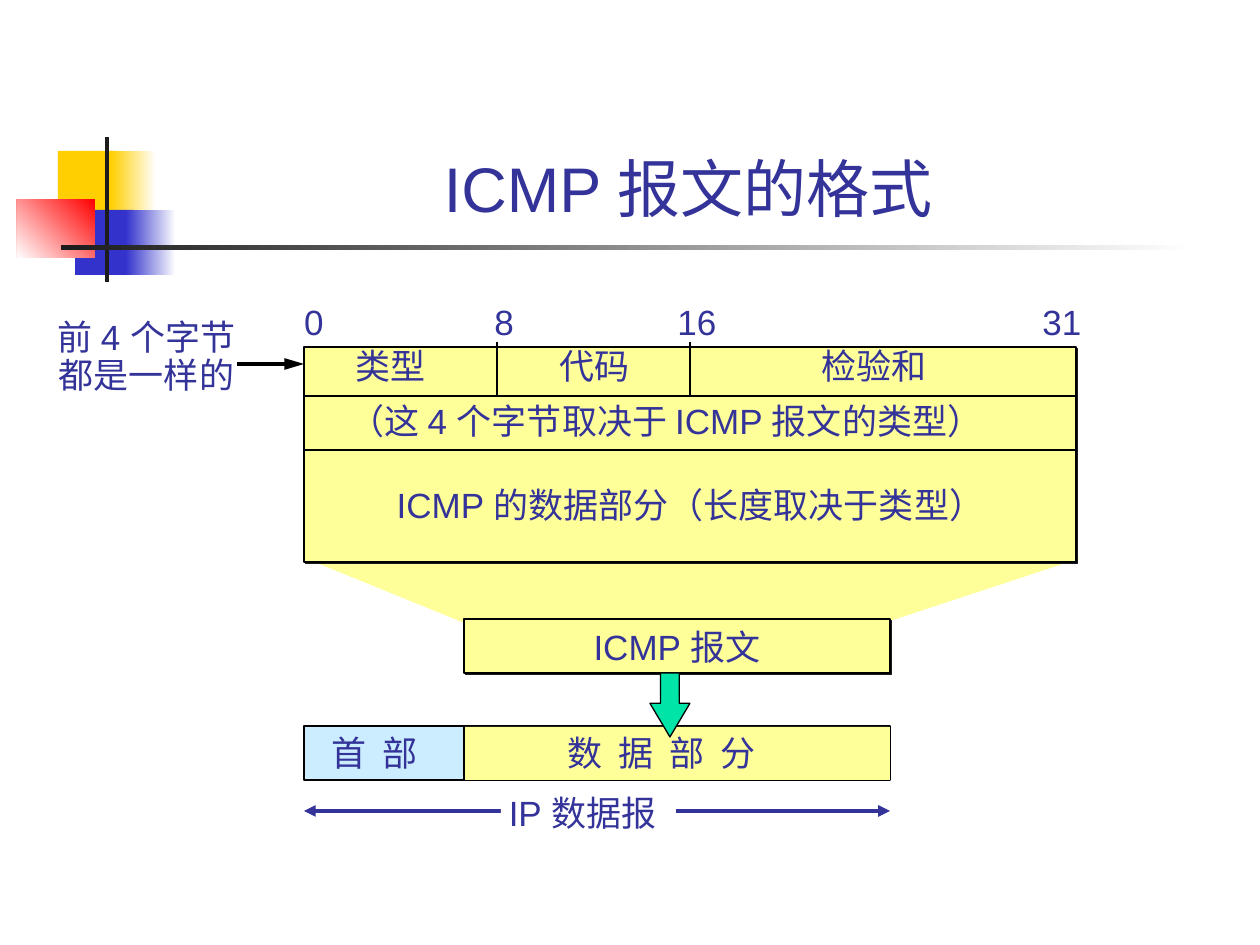
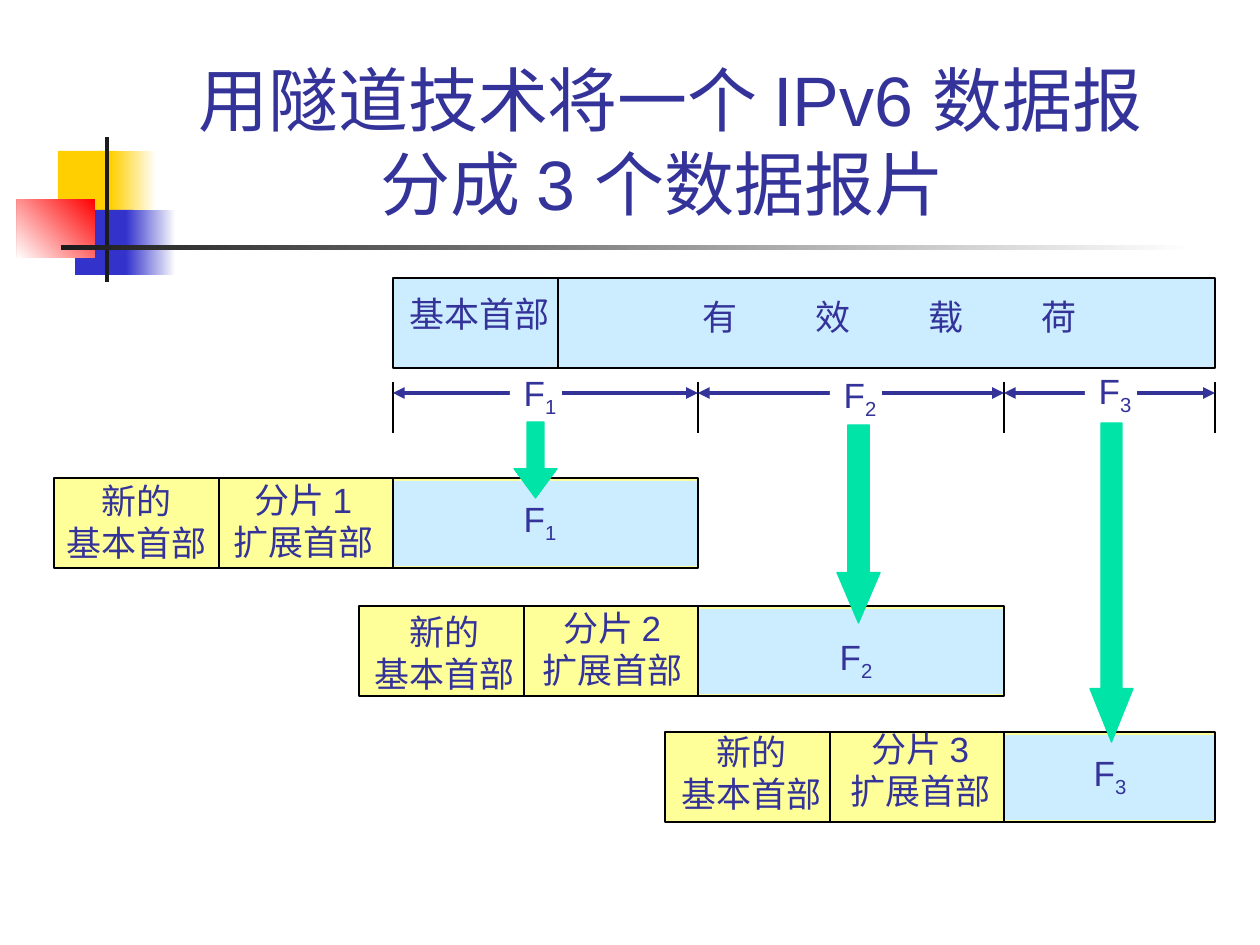
"""Build two networking slides: the ICMP message format and IPv6 fragmentation through a tunnel."""
import dataclasses

import lxml.etree
import pptx
import pptx.dml.color
import pptx.enum.shapes
import pptx.enum.text
import pptx.oxml.ns
import pptx.util

PX = 914400 / 126
RECTANGLE = pptx.enum.shapes.MSO_SHAPE.RECTANGLE
DOWN_ARROW = pptx.enum.shapes.MSO_SHAPE.DOWN_ARROW
LINE = pptx.enum.shapes.MSO_CONNECTOR.STRAIGHT
ALIGN = pptx.enum.text.PP_ALIGN
ANCHOR = pptx.enum.text.MSO_ANCHOR
BOTH_ENDS = {"headEnd": "med", "tailEnd": "med"}
LABEL_HEIGHT = 55


@dataclasses.dataclass(frozen=True)
class Theme:
    font: str = "Arial"
    label: int = 20
    title: int = 36
    large_title: int = 40
    thin: float = 0.75
    frame: float = 1.5
    thick: float = 2.25
    ink: str = "333399"
    black: str = "000000"
    white: str = "FFFFFF"
    charcoal: str = "1C1C1C"
    gold: str = "FFCF01"
    blue: str = "3333CC"
    red: str = "FF0000"
    yellow: str = "FFFF99"
    sky: str = "CCECFF"
    green: str = "00E4A8"


theme = Theme()
color = pptx.dml.color.RGBColor.from_string
qn = pptx.oxml.ns.qn


def draw(slide, kind, box, fill=None, line=None, width=theme.thin,
         fade=None, shadow=False, adjustments=(), arrows=None):
    """Draw a preset shape in (left, top, width, height) or a line through (x1, y1, x2, y2)."""
    lengths = [round(length * PX) for length in box]
    if kind is LINE:
        shape = slide.shapes.add_connector(kind, *lengths)
        effects = lxml.etree.SubElement(shape._element.spPr, qn("a:effectLst"))
    else:
        shape = slide.shapes.add_shape(kind, *lengths)
        shape.shadow.inherit = False
        effects = shape._element.spPr.find(qn("a:effectLst"))
        for index, value in enumerate(adjustments):
            shape.adjustments[index] = value
        if fade is not None:
            shape.fill.gradient()
            shape.fill.gradient_angle = fade
            for stop, stop_color in zip(shape.fill.gradient_stops, (fill, theme.white)):
                stop.color.rgb = color(stop_color)
        else:
            shape.fill.solid()
            shape.fill.fore_color.rgb = color(fill)
    if line:
        shape.line.color.rgb = color(line)
        shape.line.width = pptx.util.Pt(width)
        for end, length in (arrows or {}).items():
            lxml.etree.SubElement(shape.line._get_or_add_ln(), qn(f"a:{end}"),
                                  type="triangle", w="med", len=length)
    else:
        shape.line.fill.background()
    if shadow:
        outer = lxml.etree.SubElement(effects, qn("a:outerShdw"), dist="17780", dir="2700000")
        lxml.etree.SubElement(outer, qn("a:srgbClr"), val=theme.charcoal)


def write(slide, text, box, *, size=theme.label, align=ALIGN.CENTER, anchor=ANCHOR.TOP,
          wrap=False, spacing=None, subscript="", tab_pitch=0):
    """Write text in a box, with an optional subscript or evenly spaced tab stops."""
    shape = slide.shapes.add_textbox(*[round(length * PX) for length in box])
    frame = shape.text_frame
    frame.word_wrap = wrap
    frame.auto_size = pptx.enum.text.MSO_AUTO_SIZE.NONE
    if not wrap:
        frame.margin_left = frame.margin_right = 0
    frame.vertical_anchor = anchor
    frame.text = text
    for paragraph in frame.paragraphs:
        if tab_pitch:
            properties = paragraph._p.get_or_add_pPr()
            tabs = lxml.etree.SubElement(properties, qn("a:tabLst"))
            for number in range(1, text.count("\t") + 1):
                position = round(number * tab_pitch * PX)
                lxml.etree.SubElement(tabs, qn("a:tab"), pos=str(position), algn="l")
        paragraph.alignment = align
        if spacing:
            paragraph.line_spacing = spacing
        if subscript:
            run = paragraph.add_run()
            run.text = subscript
            run.font._element.set("baseline", "-25000")
        for run in paragraph.runs:
            run.font.name = theme.font
            run.font.size = pptx.util.Pt(size)
            run.font.color.rgb = color(theme.ink)


presentation = pptx.Presentation()
presentation.slide_width = round(1260 * PX)
presentation.slide_height = round(945 * PX)

titles = [
    ("ICMP 报文的格式 ", 159, theme.title),
    ("用隧道技术将一个 IPv6 数据报\v分成 3 个数据报片 ", 134, theme.large_title),
]
ornaments = [
    ((58, 151, 60, 66), theme.gold, None),
    ((111, 151, 45, 66), theme.gold, 0),
    ((75, 210, 58, 65), theme.blue, None),
    ((126, 210, 50, 65), theme.blue, 0),
    ((17, 199, 78, 59), theme.red, 225),
    ((105, 137, 4, 145), theme.charcoal, None),
    ((61, 245, 1134, 5), theme.charcoal, 0),
]
for title, left, size in titles:
    slide = presentation.slides.add_slide(presentation.slide_layouts[6])
    for box, fill, fade in ornaments:
        draw(slide, RECTANGLE, box, fill, fade=fade)
    write(slide, title, (left, 29, 1073, 202), size=size, anchor=ANCHOR.BOTTOM, wrap=True)

icmp_slide, tunnel_slide = presentation.slides

message_left, message_right = 304, 1076
packet_right, data_left = 890, 464
draw(icmp_slide, RECTANGLE, (message_left, 726, packet_right - message_left, 54),
     theme.sky, theme.black)
draw(icmp_slide, RECTANGLE, (data_left, 727, packet_right - data_left, 53), theme.yellow)

builder = icmp_slide.shapes.build_freeform(307, 559, scale=PX)
builder.add_line_segments([(462, 622), (890, 621), (1081, 558)], close=True)
funnel = builder.convert_to_shape()
funnel.shadow.inherit = False
funnel.fill.solid()
funnel.fill.fore_color.rgb = color(theme.yellow)
funnel.line.fill.background()

draw(icmp_slide, LINE, (message_left, 811, packet_right, 811), line=theme.ink,
     width=theme.thick, arrows=BOTH_ENDS)
draw(icmp_slide, RECTANGLE, (data_left, 619, packet_right - data_left, 54),
     theme.yellow, theme.black, shadow=True)
write(icmp_slide, "ICMP 报文", (data_left, 619, packet_right - data_left, 54),
      anchor=ANCHOR.MIDDLE)
draw(icmp_slide, LINE, (data_left, 726, data_left, 780), line=theme.black)
for text, left, width in [("首\t部", 319, 121), ("数\t据\t部\t分", 555, 223)]:
    write(icmp_slide, text, (left, 725, width, LABEL_HEIGHT), align=ALIGN.LEFT,
          wrap=True, tab_pitch=51)
draw(icmp_slide, DOWN_ARROW, (650, 673, 40, 64), theme.green, theme.black,
     adjustments=(0.47, 0.84))

draw(icmp_slide, RECTANGLE, (message_left, 347, message_right - message_left, 215),
     theme.yellow, theme.black, shadow=True)
for y in (396, 450):
    draw(icmp_slide, LINE, (message_left, y, message_right, y), line=theme.black)
for x in (497, 690):
    draw(icmp_slide, LINE, (x, 396, x, 342), line=theme.black)
draw(icmp_slide, RECTANGLE, (501, 790, 175, 39), theme.white)

icmp_labels = [
    ("0", 292, 294, 44), ("8", 482, 294, 44), ("16", 665, 294, 64), ("31", 1030, 294, 64),
    ("类型", 344, 338, 94), ("代码", 548, 338, 94), ("检验和", 809, 338, 130),
    ("（这 4 个字节取决于 ICMP 报文的类型）", 320, 393, 692),
    ("ICMP 的数据部分（长度取决于类型）", 380, 477, 621),
    ("IP 数据报", 492, 785, 181),
]
for text, left, top, width in icmp_labels:
    write(icmp_slide, text, (left, top, width, LABEL_HEIGHT))
write(icmp_slide, "前 4 个字节\n都是一样的", (37, 314, 219, 88), spacing=0.9)
draw(icmp_slide, LINE, (237, 364, message_left, 364), line=theme.black,
     width=theme.thick, arrows={"tailEnd": "lg"})

bounds = [393, 698, 1004, 1215]
header_width, new_headers_width, row_height = 165, 339, 90
draw(tunnel_slide, RECTANGLE, (bounds[0], 278, bounds[-1] - bounds[0], row_height),
     theme.sky, theme.black, theme.frame)
draw(tunnel_slide, LINE, (bounds[0] + header_width, 278, bounds[0] + header_width, 368),
     line=theme.black)
write(tunnel_slide, "基本首部", (397, 286, 165, LABEL_HEIGHT))
write(tunnel_slide, "有\t效\t载\t荷", (690, 289, 420, LABEL_HEIGHT), align=ALIGN.LEFT,
      wrap=True, tab_pitch=113)
for x in bounds:
    draw(tunnel_slide, LINE, (x, 382, x, 433), line=theme.black)

fragments = [
    dict(top=478, span=(511, 365), base=(54, 473), extension=(221, 472),
         payload=(511, 491), arrow=(514, 422, 43, 76), shape=(0.39, 0.68)),
    dict(top=606, span=(831, 367), base=(362, 604), extension=(530, 600),
         payload=(827, 629), arrow=(837, 425, 43, 198), shape=(0.5, 1.17)),
    dict(top=732, span=(1086, 363), base=(669, 724), extension=(838, 721),
         payload=(1081, 745), arrow=(1090, 423, 43, 319), shape=(0.49, 1.24)),
]
for number, (fragment, start, end) in enumerate(zip(fragments, bounds, bounds[1:]), 1):
    draw(tunnel_slide, LINE, (start, 393, end, 393), line=theme.ink,
         width=theme.thick, arrows=BOTH_ENDS)
    span_left, span_top = fragment["span"]
    draw(tunnel_slide, RECTANGLE, (span_left - 1, span_top + 10, 52, 50), theme.white)

    top, row_left = fragment["top"], start - new_headers_width
    draw(tunnel_slide, RECTANGLE, (row_left, top, end - row_left, row_height),
         theme.yellow, theme.black, theme.frame)
    draw(tunnel_slide, RECTANGLE, (start + 1, top + 3, end - start - 2, row_height - 5),
         theme.sky)
    for x in (row_left + header_width, start):
        draw(tunnel_slide, LINE, (x, top, x, top + row_height), line=theme.black)
    draw(tunnel_slide, DOWN_ARROW, fragment["arrow"], theme.green, theme.green,
         adjustments=fragment["shape"])
    write(tunnel_slide, "新的\n基本首部", (*fragment["base"], header_width, 97))
    write(tunnel_slide, f"分片 {number}\n扩展首部", (*fragment["extension"], header_width, 97))
    for place in ("span", "payload"):
        write(tunnel_slide, "F", (*fragment[place], 58, 60), subscript=str(number))

presentation.save("out.pptx")
